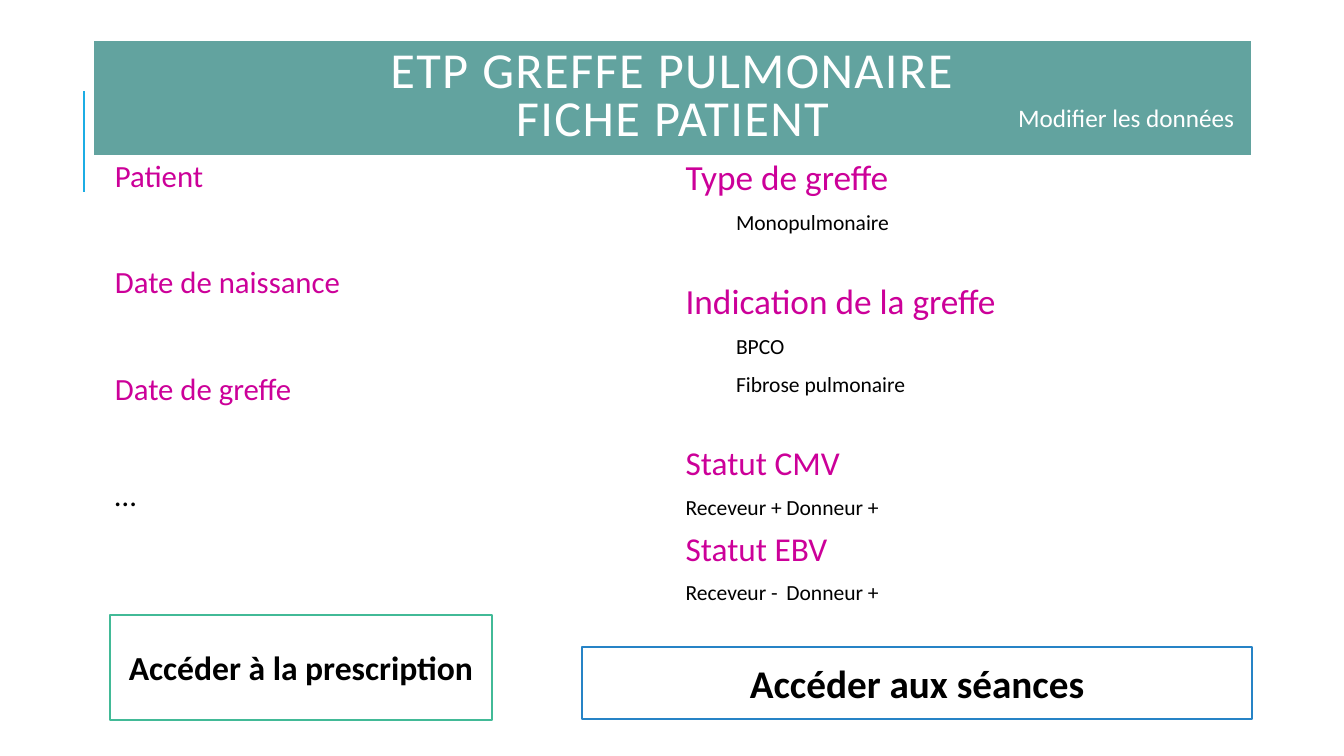
from copy import deepcopy

from pptx import Presentation
from pptx.dml.color import RGBColor
from pptx.enum.shapes import MSO_CONNECTOR, MSO_SHAPE
from pptx.enum.text import MSO_ANCHOR, MSO_AUTO_SIZE, PP_ALIGN
from pptx.oxml.ns import qn
from pptx.util import Inches, Pt

CENTER, LEFT = PP_ALIGN.CENTER, PP_ALIGN.LEFT
TOP, MIDDLE = MSO_ANCHOR.TOP, MSO_ANCHOR.MIDDLE
NO_FIT = MSO_AUTO_SIZE.NONE
STRAIGHT, RECTANGLE = MSO_CONNECTOR.STRAIGHT, MSO_SHAPE.RECTANGLE

WHITE = RGBColor(0xFF, 0xFF, 0xFF)
BLACK = RGBColor(0x00, 0x00, 0x00)
TEAL = RGBColor(0x62, 0xA3, 0x9F)
MAGENTA = RGBColor(0xCC, 0x00, 0x99)
CYAN = RGBColor(0x1C, 0xAD, 0xE4)
GREEN = RGBColor(0x42, 0xBA, 0x97)
BLUE = RGBColor(0x26, 0x83, 0xC6)
FONT = "Calibri"

PATIENT_FIELDS = [
    ("Patient", MAGENTA, 12),
    ("Date de naissance", MAGENTA, 50),
    ("Date de greffe", MAGENTA, 50),
    ("…", BLACK, 50),
]
GRAFT_SECTIONS = [
    ("Type de greffe", 25.2, 0, ["\tMonopulmonaire"]),
    ("Indication de la greffe", 25.2, 39, ["\tBPCO", "\tFibrose pulmonaire"]),
    ("Statut CMV", 23.8, 39, ["Receveur +\tDonneur +"]),
    ("Statut EBV", 23.8, 12, ["Receveur -\tDonneur +"]),
]


def place(shape, left, top, width, height):
    shape.left, shape.top = Inches(left), Inches(top)
    shape.width, shape.height = Inches(width), Inches(height)


def write(paragraph, text, size, color, bold=False, align=LEFT,
          line=1.0, before=0, after=0, tracking=0):
    paragraph.alignment = align
    paragraph.line_spacing = line
    paragraph.space_before, paragraph.space_after = Pt(before), Pt(after)
    paragraph.text = text
    for run in paragraph.runs:
        font = run.font
        font.name, font.size, font.bold = FONT, Pt(size), bold
        font.color.rgb = color
        if tracking:
            run._r.get_or_add_rPr().set("spc", str(tracking * 100))
    for line_break in paragraph._p.findall(qn("a:br")):
        line_break.append(deepcopy(paragraph.runs[0]._r.rPr))


def outline(shape, fill, color, width):
    shape.fill.solid()
    shape.fill.fore_color.rgb = fill
    shape.line.color.rgb = color
    shape.line.width = Pt(width)


def fill_list(body, box, items, line):
    place(body, *box)
    frame = body.text_frame
    frame.auto_size, frame.word_wrap = NO_FIT, True
    frame.vertical_anchor = TOP
    frame.margin_left = frame.margin_right = Inches(0.05)
    frame.margin_top = frame.margin_bottom = Inches(0.05)
    for index, (text, size, color, before) in enumerate(items):
        paragraph = frame.add_paragraph() if index else frame.paragraphs[0]
        properties = paragraph._p.get_or_add_pPr()
        properties.set("marL", "0")
        properties.set("indent", "0")
        properties.append(properties.makeelement(qn("a:buNone"), {}))
        write(paragraph, text, size, color, line=line,
              before=before if index else 0, after=2)


def add_title(slide):
    title = slide.shapes.title
    place(title, 0.92, 0.4, 11.5, 1.15)
    outline(title, TEAL, WHITE, 1.5)
    frame = title.text_frame
    frame.auto_size, frame.word_wrap = NO_FIT, True
    frame.vertical_anchor = MIDDLE
    write(frame.paragraphs[0], "ETP GREFFE PULMONAIRE\vFICHE PATIENT", 36, WHITE,
          align=CENTER, line=0.8, tracking=1)


def add_accent(slide):
    accent = slide.shapes.add_connector(
        STRAIGHT, Inches(0.83), Inches(1.9), Inches(0.83), Inches(0.9))
    accent.line.color.rgb = CYAN
    accent.line.width = Pt(1.5)
    properties = accent._element.spPr
    properties.append(properties.makeelement(qn("a:effectLst"), {}))


def add_button(slide, box, text, size, color):
    button = slide.shapes.add_shape(RECTANGLE, *map(Inches, box))
    button.shadow.inherit = False
    outline(button, WHITE, color, 1.25)
    button.text_frame.word_wrap = True
    button.text_frame.vertical_anchor = MIDDLE
    write(button.text_frame.paragraphs[0], text, size, BLACK, bold=True, align=CENTER)


def add_edit_label(slide):
    label = slide.shapes.add_textbox(Inches(10), Inches(0.97), Inches(2.68), Inches(0.4))
    label.text_frame.word_wrap = True
    write(label.text_frame.paragraphs[0], "Modifier les données", 18, WHITE)


def main():
    presentation = Presentation()
    presentation.slide_width, presentation.slide_height = Inches(13.33), Inches(7.5)
    slide = presentation.slides.add_slide(presentation.slide_layouts[3])
    add_accent(slide)
    add_title(slide)
    patient_items = [(text, 22, color, before) for text, color, before in PATIENT_FIELDS]
    fill_list(slide.placeholders[1], (1.09, 1.55, 3.51, 4.03), patient_items, 0.9)
    graft_items = []
    for heading, size, before, details in GRAFT_SECTIONS:
        graft_items.append((heading, size, MAGENTA, before))
        graft_items += [(detail, 15.4, BLACK, 12) for detail in details]
    fill_list(slide.placeholders[2], (6.75, 1.6, 5.67, 4.68), graft_items, 0.7)
    add_button(slide, (1.09, 6.1, 3.79, 1.04), "Accéder à la prescription", 24, GREEN)
    add_edit_label(slide)
    add_button(slide, (5.77, 6.42, 6.65, 0.71), "Accéder aux séances", 28, BLUE)
    presentation.save("out.pptx")


if __name__ == "__main__":
    main()
